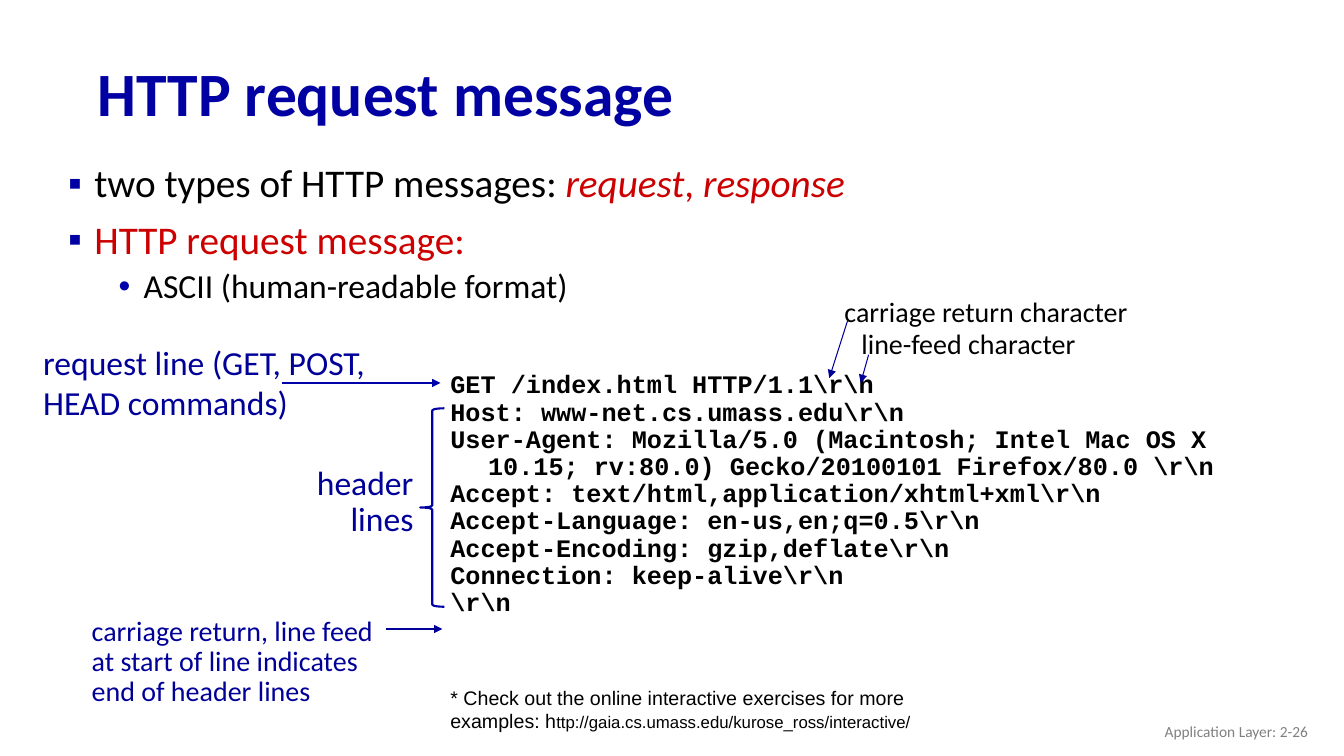
from lxml import etree
from pptx import Presentation
from pptx.dml.color import RGBColor
from pptx.enum.shapes import MSO_CONNECTOR, MSO_SHAPE
from pptx.enum.text import MSO_ANCHOR, PP_ALIGN
from pptx.oxml.ns import qn
from pptx.util import Cm, Pt

COLORS = {"title": "0000A3", "label": "000099", "accent": "0000A8",
          "term": "CC0000", "text": "000000", "footer": "808080"}

# Content: each paragraph is a list of (text, color, italic) runs
TITLE = "HTTP request message"
BULLETS = [
    (0, [("two types of HTTP messages: ", "text", False), ("request", "term", True),
         (", ", "term", False), ("response", "term", True)]),
    (0, [("HTTP request message:", "term", False)]),
    (1, [("ASCII (human-readable format)", "text", False)]),
]
# Level: symbol, symbol color, size, left margin, hanging indent, space before
LEVELS = [("▪", "title", 28, 0.66, 0.66, 10), ("•", "accent", 24, 1.9, 0.63, 5)]
REQUEST = [
    r"GET /index.html HTTP/1.1\r\n",
    r"Host: www-net.cs.umass.edu\r\n",
    r"User-Agent: Mozilla/5.0 (Macintosh; Intel Mac OS X 10.15; rv:80.0) "
    r"Gecko/20100101 Firefox/80.0 \r\n",
    r"Accept: text/html,application/xhtml+xml\r\n",
    r"Accept-Language: en-us,en;q=0.5\r\n",
    r"Accept-Encoding: gzip,deflate\r\n",
    r"Connection: keep-alive\r\n",
    r"\r\n",
]
# Lines, box (left, top, width, height), size, color, line spacing, alignment
LABELS = [
    (["header", "lines"], (7.7, 11.63, 2.97, 2.11), 24, "label", 0.9, PP_ALIGN.RIGHT),
    (["carriage return character"], (21.03, 7.29, 7.72, 1.12), 20, "text", 1.0, PP_ALIGN.LEFT),
    (["line-feed character"], (21.46, 8.1, 5.97, 1.12), 20, "text", 1.0, PP_ALIGN.LEFT),
    (["request line (GET, POST,", "HEAD commands)"], (0.84, 8.48, 8.79, 2.31),
     24, "label", 1.0, PP_ALIGN.LEFT),
    (["carriage return, line feed at start of line indicates end of header lines"],
     (2.06, 15.42, 7.7, 2.57), 20, "label", 0.9, PP_ALIGN.LEFT),
]
EXERCISES = [("* Check out the online interactive exercises for more examples: h", 14),
             ("ttp://gaia.cs.umass.edu/kurose_ross/interactive/", 12)]
FOOTER = "Application Layer: 2-26"
# Start, end, color, width
ARROWS = [
    ((21.36, 8.08), (20.9, 9.53), "label", 0.75),
    ((21.89, 8.94), (21.69, 9.65), "label", 0.75),
    ((7.11, 9.65), (11.1, 9.65), "accent", 1.5),
    ((9.73, 15.85), (11.15, 15.85), "label", 1.5),
]
BRACE = (10.59, 10.29, 0.61, 5.0)


def color(name):
    return RGBColor.from_string(COLORS[name])


def add_frame(slide, box, anchor=MSO_ANCHOR.TOP):
    text_frame = slide.shapes.add_textbox(*map(Cm, box)).text_frame
    text_frame.word_wrap = True
    text_frame.vertical_anchor = anchor
    return text_frame


def add_paragraph(text_frame, index, spacing=1.0, align=PP_ALIGN.LEFT):
    paragraph = text_frame.add_paragraph() if index else text_frame.paragraphs[0]
    paragraph.line_spacing = spacing
    paragraph.alignment = align
    return paragraph


def add_run(paragraph, text, size, color_name, font="Calibri", bold=False, italic=False):
    run = paragraph.add_run()
    run.text = text
    run.font.name, run.font.size = font, Pt(size)
    run.font.bold, run.font.italic = bold, italic
    run.font.color.rgb = color(color_name)


def set_indent(paragraph, margin, hanging):
    properties = paragraph._p.get_or_add_pPr()
    properties.set("marL", str(Cm(margin)))
    properties.set("indent", str(-Cm(hanging)))
    return properties


def add_bullet(paragraph, symbol, color_name, margin, hanging):
    properties = set_indent(paragraph, margin, hanging)
    bullet_color = etree.SubElement(properties, qn("a:buClr"))
    etree.SubElement(bullet_color, qn("a:srgbClr"), val=COLORS[color_name])
    etree.SubElement(properties, qn("a:buFont"), typeface="Arial")
    etree.SubElement(properties, qn("a:buChar"), char=symbol)


def add_arrow(slide, start, end, color_name, width):
    arrow = slide.shapes.add_connector(MSO_CONNECTOR.STRAIGHT, *map(Cm, start + end))
    arrow.line.color.rgb = color(color_name)
    arrow.line.width = Pt(width)
    etree.SubElement(arrow.line._get_or_add_ln(), qn("a:tailEnd"), type="triangle")
    etree.SubElement(arrow._element.spPr, qn("a:effectLst"))


def main():
    presentation = Presentation()
    presentation.slide_width, presentation.slide_height = Cm(33.87), Cm(19.05)
    slide = presentation.slides.add_slide(presentation.slide_layouts[6])

    # Title
    frame = add_frame(slide, (2.21, 1.19, 29.21, 2.49), MSO_ANCHOR.MIDDLE)
    add_run(add_paragraph(frame, 0, 0.9), TITLE, 44, "title", bold=True)

    # Bullets
    frame = add_frame(slide, (1.47, 4.01, 32.38, 3.96))
    for index, (level, runs) in enumerate(BULLETS):
        symbol, symbol_color, size, margin, hanging, before = LEVELS[level]
        paragraph = add_paragraph(frame, index, 0.9)
        paragraph.level = level
        if index:
            paragraph.space_before = Pt(before)
        add_bullet(paragraph, symbol, symbol_color, margin, hanging)
        for text, color_name, italic in runs:
            add_run(paragraph, text, size, color_name, italic=italic)

    # Request message
    frame = add_frame(slide, (11.1, 9.25, 22, 6.5))
    for index, line in enumerate(REQUEST):
        paragraph = add_paragraph(frame, index, 0.9)
        set_indent(paragraph, 0.95, 0.95)
        add_run(paragraph, line, 18, "text", "Courier New", bold=True)

    # Labels, arrows and brace
    for lines, box, size, color_name, spacing, align in LABELS:
        frame = add_frame(slide, box)
        for index, line in enumerate(lines):
            add_run(add_paragraph(frame, index, spacing, align), line, size, color_name)
    for arrow in ARROWS:
        add_arrow(slide, *arrow)
    brace = slide.shapes.add_shape(MSO_SHAPE.LEFT_BRACE, *map(Cm, BRACE))
    brace.shadow.inherit = False
    brace.fill.background()
    brace.line.color.rgb = color("title")
    brace.line.width = Pt(1.5)

    # Exercises note and footer
    paragraph = add_paragraph(add_frame(slide, (11.1, 17.15, 12.52, 1.45)), 0)
    for text, size in EXERCISES:
        add_run(paragraph, text, size, "text", "Arial")
    frame = add_frame(slide, (25.6, 17.91, 7.62, 1.02), MSO_ANCHOR.MIDDLE)
    add_run(add_paragraph(frame, 0, align=PP_ALIGN.RIGHT), FOOTER, 11, "footer")

    presentation.save("out.pptx")


if __name__ == "__main__":
    main()
